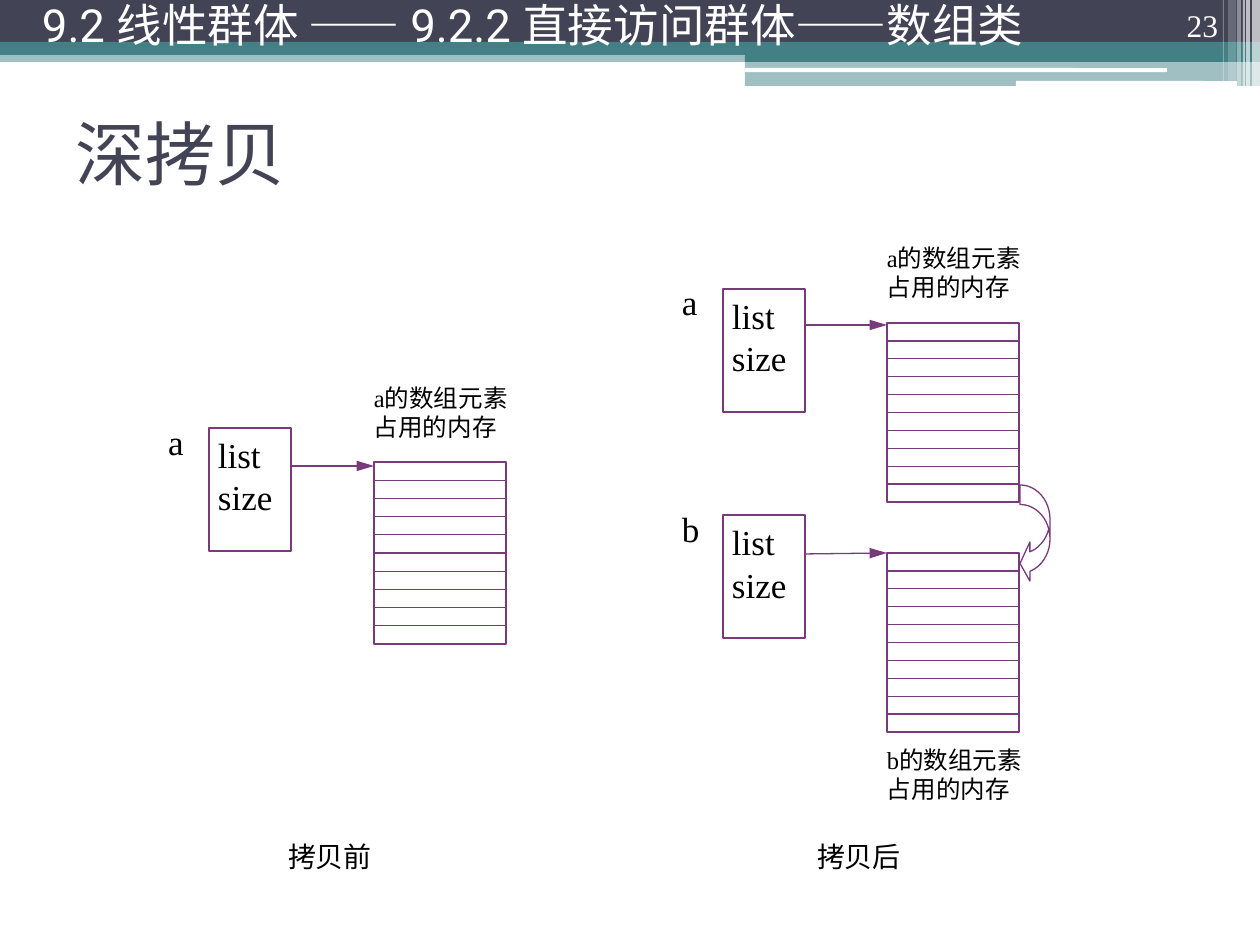
from dataclasses import dataclass

from lxml import etree
from pptx import Presentation
from pptx import util as u
from pptx.dml.color import RGBColor
from pptx.enum import shapes, text
from pptx.oxml import ns

EMU_PER_PX = 914400 / 126


@dataclass(frozen=True)
class Theme:
    navy: str = "424456"
    teal: str = "438086"
    white: str = "FFFFFF"
    black: str = "000000"
    purple: str = "783A7A"
    sans: str = "Roboto"
    serif: str = "Times New Roman"
    title: int = 40
    header: int = 26
    field: int = 20
    number: int = 18
    caption: int = 16
    note: int = 14
    line: float = 0.75


@dataclass(frozen=True)
class Box:
    left: int
    top: int
    width: int
    height: int


@dataclass(frozen=True)
class Band:
    box: Box
    color: str
    opacity: int = 100
    rounded: bool = False


@dataclass(frozen=True)
class ArrayObject:
    name: str
    label: Box
    fields: Box
    cells: Box
    note: Box
    arrow_start: int
    arrow_end: int


THEME = Theme()
RECTANGLE = shapes.MSO_SHAPE.RECTANGLE
JUSTIFY = text.PP_ALIGN.JUSTIFY

BANDS = [
    Band(Box(0, 50, 1260, 12), THEME.teal, 50),
    Band(Box(0, 0, 1260, 43), THEME.navy),
    Band(Box(0, 42, 1260, 13), THEME.teal),
    Band(Box(745, 49, 515, 13), THEME.teal),
    Band(Box(745, 61, 515, 25), THEME.teal, 50),
    Band(Box(745, 68, 422, 4), THEME.white, rounded=True),
    Band(Box(1016, 81, 221, 5), THEME.white, rounded=True),
    Band(Box(1252, 0, 8, 86), THEME.white, 65),
    Band(Box(1246, 0, 4, 86), THEME.white, 65),
    Band(Box(1243, 0, 2, 86), THEME.white, 60),
    Band(Box(1237, 0, 4, 86), THEME.white, 40),
    Band(Box(1228, 0, 8, 81), THEME.white, 20),
    Band(Box(1223, 0, 1, 81), THEME.white, 30),
]

ARRAYS = [
    ArrayObject("a", Box(168, 421, 30, 35), Box(209, 428, 82, 123),
                Box(374, 462, 132, 182), Box(374, 383, 141, 76), 466, 466),
    ArrayObject("a", Box(682, 281, 30, 35), Box(723, 289, 82, 123),
                Box(887, 323, 132, 179), Box(887, 243, 141, 76), 325, 325),
    ArrayObject("b", Box(682, 508, 30, 35), Box(723, 515, 82, 123),
                Box(887, 553, 132, 179), Box(887, 745, 141, 76), 554, 553),
]


def px(value: float) -> u.Emu:
    return u.Emu(round(value * EMU_PER_PX))


def color(value: str) -> RGBColor:
    return RGBColor.from_string(value)


def bounds(box: Box) -> tuple:
    return px(box.left), px(box.top), px(box.width), px(box.height)


def write(shape, lines: list, size: int, font: str, ink: str,
          align=text.PP_ALIGN.LEFT, anchor=text.MSO_ANCHOR.TOP,
          insets: tuple = (0, 0, 0, 0), spacing: float = 1.0) -> None:
    frame = shape.text_frame
    frame.word_wrap = True
    frame.vertical_anchor = anchor
    frame.margin_left, frame.margin_top, frame.margin_right, frame.margin_bottom = map(px, insets)
    for index, line in enumerate(lines):
        paragraph = frame.add_paragraph() if index else frame.paragraphs[0]
        paragraph.alignment = align
        paragraph.line_spacing = spacing
        run = paragraph.add_run()
        run.text = line
        run.font.size = u.Pt(size)
        run.font.name = font
        run.font.color.rgb = color(ink)


def add_text(slide, box: Box, lines: list, size: int, font: str, ink: str, **layout) -> None:
    write(slide.shapes.add_textbox(*bounds(box)), lines, size, font, ink, **layout)


def add_band(slide, band: Band) -> None:
    kind = shapes.MSO_SHAPE.ROUNDED_RECTANGLE if band.rounded else RECTANGLE
    shape = slide.shapes.add_shape(kind, *bounds(band.box))
    shape.shadow.inherit = False
    shape.line.fill.background()
    shape.fill.solid()
    shape.fill.fore_color.rgb = color(band.color)
    if band.opacity < 100:
        solid = shape.fill.fore_color._xFill
        alpha = etree.SubElement(solid[0], ns.qn("a:alpha"))
        alpha.set("val", str(band.opacity * 1000))


def add_outline(slide, kind, box: Box):
    shape = slide.shapes.add_shape(kind, *bounds(box))
    shape.shadow.inherit = False
    shape.fill.background()
    shape.line.color.rgb = color(THEME.purple)
    shape.line.width = u.Pt(THEME.line)
    return shape


def add_line(slide, x1: float, y1: float, x2: float, y2: float, arrow: bool = False) -> None:
    line = slide.shapes.add_connector(shapes.MSO_CONNECTOR.STRAIGHT, px(x1), px(y1), px(x2), px(y2))
    line.line.color.rgb = color(THEME.purple)
    line.line.width = u.Pt(THEME.line)
    if arrow:
        tail = etree.SubElement(line.line._get_or_add_ln(), ns.qn("a:tailEnd"))
        tail.set("type", "triangle")
        tail.set("w", "med")
        tail.set("len", "lg")
    etree.SubElement(line._element.spPr, ns.qn("a:effectLst"))


def add_array(slide, item: ArrayObject, rows: int = 10) -> None:
    # Object with its two fields
    fields = add_outline(slide, RECTANGLE, item.fields)
    write(fields, ["list", "size"], THEME.field, THEME.serif, THEME.black,
          align=JUSTIFY, insets=(9, 6, 0, 6))
    add_text(slide, item.label, [item.name], THEME.field, THEME.serif, THEME.black, align=JUSTIFY)

    # Memory cells
    cells = item.cells
    add_outline(slide, RECTANGLE, cells)
    for row in range(1, rows):
        y = cells.top + cells.height * row / rows
        add_line(slide, cells.left, y, cells.left + cells.width, y)
    add_text(slide, item.note, [f"{item.name}的数组元素", "占用的内存"],
             THEME.note, THEME.serif, THEME.black, align=JUSTIFY)

    # Pointer from list to the cells
    add_line(slide, item.fields.left + item.fields.width, item.arrow_start,
             cells.left, item.arrow_end, arrow=True)


def main() -> None:
    presentation = Presentation()
    presentation.slide_width, presentation.slide_height = px(1260), px(945)
    slide = presentation.slides.add_slide(presentation.slide_layouts[6])

    # Header decoration
    for band in BANDS:
        add_band(slide, band)

    # Page number, title and section heading
    middle, insets = text.MSO_ANCHOR.MIDDLE, (13, 6, 13, 6)
    add_text(slide, Box(1126, 0, 105, 50), ["23"], THEME.number, THEME.serif, THEME.white,
             align=text.PP_ALIGN.RIGHT, anchor=text.MSO_ANCHOR.BOTTOM, insets=insets)
    add_text(slide, Box(63, 79, 1134, 147), ["深拷贝"], THEME.title, THEME.sans, THEME.navy,
             anchor=middle, insets=insets)
    add_text(slide, Box(29, 0, 1147, 59), ["9.2 线性群体 —— 9.2.2 直接访问群体——数组类"],
             THEME.header, THEME.sans, THEME.white, anchor=middle, insets=insets, spacing=0.8)

    # Arrays before and after copying
    for item in ARRAYS:
        add_array(slide, item)
    for left, caption in ((228, "拷贝前"), (757, "拷贝后")):
        add_text(slide, Box(left, 840, 204, 42), [caption], THEME.caption, THEME.serif,
                 THEME.black, align=text.PP_ALIGN.CENTER, insets=(13, 0, 13, 0))

    # Copy arrow from a to b
    arrow = add_outline(slide, shapes.MSO_SHAPE.CURVED_LEFT_ARROW, Box(1020, 485, 30, 98))
    for index, value in enumerate((0.65, 1.3, 0.33)):
        arrow.adjustments[index] = value

    presentation.save("out.pptx")


if __name__ == "__main__":
    main()
